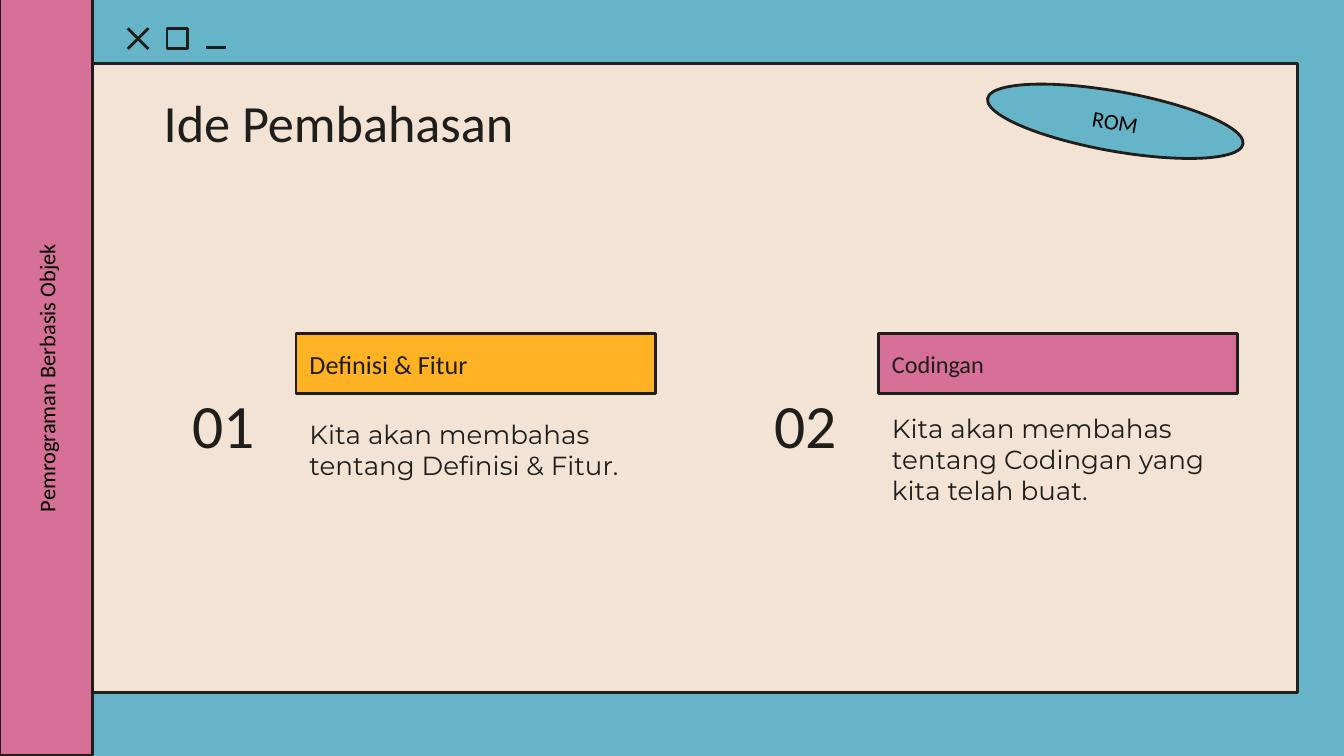
import pptx
import pptx.util
import pptx.dml.color
import pptx.enum.shapes
import pptx.enum.text
import lxml.etree
from dataclasses import dataclass

Pt = pptx.util.Pt
Shape = pptx.enum.shapes.MSO_SHAPE
Align = pptx.enum.text.PP_ALIGN


@dataclass(frozen=True)
class Theme:
    blue: str = "65B4C7"
    cream: str = "F2E3D4"
    pink: str = "D67097"
    amber: str = "FFB224"
    ink: str = "1F1E1B"
    panel_line: str = "212121"
    black: str = "000000"
    sans: str = "Calibri"
    body: str = "Montserrat"
    title_size: float = 28
    number_size: float = 33
    text_size: float = 14
    label_size: float = 12
    stroke: float = 1.5


theme = Theme()
rgb = pptx.dml.color.RGBColor.from_string


def paint(shape, fill=None, line=theme.ink):
    """Give a shape its fill and outline."""
    if fill:
        shape.fill.solid()
        shape.fill.fore_color.rgb = rgb(fill)
    else:
        shape.fill.background()
    shape.line.color.rgb = rgb(line)
    shape.line.width = Pt(theme.stroke)


def write(box, text, size, font=theme.sans, color=theme.ink, align=Align.LEFT):
    """Fill a box with one plain, vertically centred paragraph."""
    frame = box.text_frame
    frame.text = text
    frame.word_wrap = True
    frame.auto_size = pptx.enum.text.MSO_AUTO_SIZE.NONE
    frame.vertical_anchor = pptx.enum.text.MSO_ANCHOR.MIDDLE
    frame.margin_left = frame.margin_right = Pt(7.2)
    frame.margin_top = frame.margin_bottom = Pt(7.2)
    para = frame.paragraphs[0]
    properties = para._p.get_or_add_pPr()
    properties.set("marL", "0")
    properties.set("indent", "0")
    lxml.etree.SubElement(properties, pptx.oxml.ns.qn("a:buNone"))
    para.alignment = align
    para.space_before = Pt(0)
    para.font.size = Pt(size)
    para.font.name = font
    para.font.bold = False
    para.font.color.rgb = rgb(color)


deck = pptx.Presentation()
deck.slide_width, deck.slide_height = Pt(720), Pt(405)
page = deck.slides.add_slide(deck.slide_layouts[4])  # title and two headed columns
page.background.fill.solid()
page.background.fill.fore_color.rgb = rgb(theme.blue)
placeholders = {box.placeholder_format.idx: box for box in page.placeholders}

# Window panel, maximise button and side bar
for left, top, width, height, fill, line in (
    (49.7, 33.9, 645.3, 337, theme.cream, theme.panel_line),
    (89.5, 15.1, 11, 11, None, theme.ink),
    (0, -0.5, 49.7, 405, theme.pink, theme.ink),
):
    block = page.shapes.add_shape(
        Shape.RECTANGLE, Pt(left), Pt(top), Pt(width), Pt(height))
    block.shadow.inherit = False
    paint(block, fill, line)

# Close and minimise buttons
for x1, y1, x2, y2 in (
    (68.5, 15.2, 79.5, 26.2),
    (68.5, 26.2, 79.5, 15.2),
    (110.3, 25.3, 121, 25.3),
):
    stroke = page.shapes.add_connector(
        pptx.enum.shapes.MSO_CONNECTOR.STRAIGHT, Pt(x1), Pt(y1), Pt(x2), Pt(y2))
    stroke.line.color.rgb = rgb(theme.ink)
    stroke.line.width = Pt(theme.stroke)
    lxml.etree.SubElement(
        stroke.element.spPr, pptx.oxml.ns.qn("a:effectLst"))

# Bring the placeholders in front of the window
tree = page.shapes.element
for box in placeholders.values():
    tree.append(box.element)

# Title
title = placeholders[0]
title.left, title.top, title.width, title.height = Pt(80.5), Pt(42.5), Pt(375), Pt(45.4)
write(title, "Ide Pembahasan", theme.title_size)

# Numbered topics: number, coloured heading, description
topics = (
    ("01", "Definisi & Fitur", 14, theme.amber,
     "Kita akan membahas tentang Definisi & Fitur.", 206.2),
    ("02", "Codingan", 13, theme.pink,
     "Kita akan membahas tentang Codingan yang kita telah buat.", 211.2),
)
for index, (number, name, name_size, fill, description, text_top) in enumerate(topics):
    column = 81.6 + index * 312
    heading = placeholders[1 + 2 * index]
    detail = placeholders[2 + 2 * index]
    for box, top, height in ((heading, 178.7, 32.2), (detail, text_top, 69.4)):
        box.left, box.top, box.width, box.height = (
            Pt(column + 77), Pt(top), Pt(192.5), Pt(height))
    paint(heading, fill)
    write(heading, name, name_size)
    write(detail, description, theme.text_size, theme.body)
    counter = page.shapes.add_textbox(Pt(column), Pt(178.7), Pt(76.3), Pt(97))
    write(counter, number, theme.number_size, align=Align.CENTER)

# Tilted badge
badge = page.shapes.add_shape(Shape.OVAL, Pt(528), Pt(49), Pt(139), Pt(32))
badge.rotation = 10.1
badge.shadow.inherit = False
paint(badge, theme.blue)
write(badge, "ROM", theme.label_size, color=theme.black, align=Align.CENTER)

# Side bar label, reading upwards
label = page.shapes.add_textbox(Pt(-104.4), Pt(183.8), Pt(258.5), Pt(37.4))
label.rotation = 270
write(label, "Pemrograman Berbasis Objek", theme.label_size,
      color=theme.black, align=Align.CENTER)

deck.save("out.pptx")
